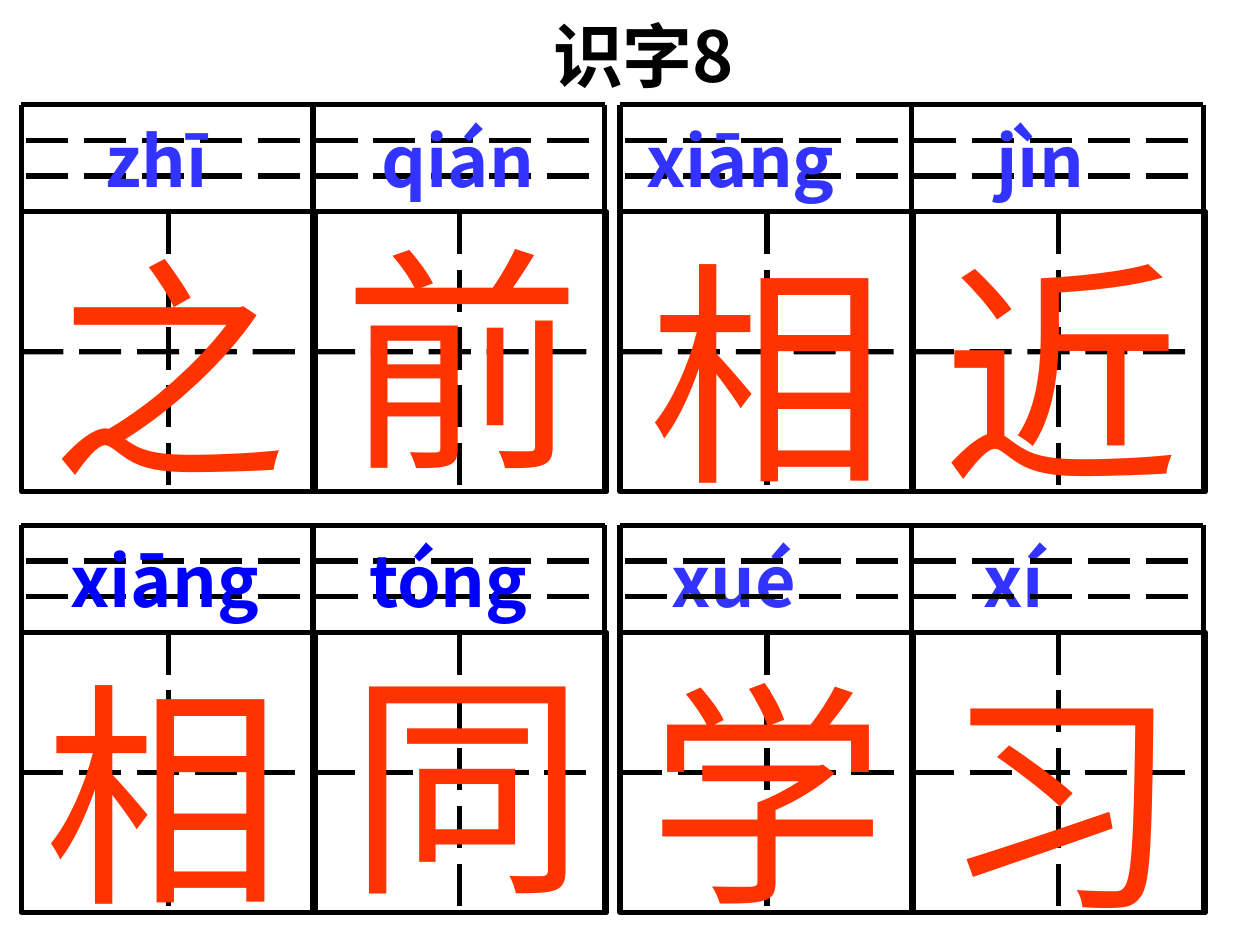
from lxml import etree
from pptx import Presentation
from pptx.dml.color import RGBColor
from pptx.enum.dml import MSO_LINE
from pptx.enum.shapes import MSO_CONNECTOR, MSO_SHAPE
from pptx.oxml.ns import qn
from pptx.util import Cm, Pt

STRAIGHT = MSO_CONNECTOR.STRAIGHT
RECTANGLE = MSO_SHAPE.RECTANGLE
LONG_DASH = MSO_LINE.LONG_DASH
TOP, LEFT, BOTTOM = 0, 1, 2

BLACK = RGBColor(0x00, 0x00, 0x00)
RED = RGBColor(0xFF, 0x33, 0x00)
VIOLET = RGBColor(0x33, 0x33, 0xFF)
BLUE = RGBColor(0x00, 0x00, 0xFF)
HAN_FONT, LATIN_FONT = "Noto Sans CJK SC", "Arial"

# Content; lengths in centimetres
TITLE = "识字8"
GRID_LEFTS = (0.43, 12.5)
ROW_TOPS = (2.11, 10.59)
# Character, left, top, font
FIRST_ROW = [("前", 6.68, 3.73, HAN_FONT), ("之", 0.76, 3.94, HAN_FONT),
             ("相", 12.83, 4.01, LATIN_FONT), ("近", 18.75, 4.01, LATIN_FONT)]
SECOND_ROW_LEFT = [("同", 6.78, 12.27, LATIN_FONT), ("相", 0.64, 12.5, LATIN_FONT)]
SECOND_ROW_RIGHT = [("学", 12.83, 12.5, LATIN_FONT), ("习", 18.75, 12.62, LATIN_FONT)]
# Syllable, tab position, colour
FIRST_PINYIN = [("zhī", 1.88, VIOLET), ("qián", 7.44, VIOLET),
                ("xiāng", 12.78, VIOLET), ("jìn", 19.84, VIOLET)]
SECOND_PINYIN = [("xiāng", 1.6, BLUE), ("tóng", 7.62, BLUE),
                 ("xué", 13.72, VIOLET), ("xí", 20, VIOLET)]

# Practice grid measures
CELL_STEP, CELL_WIDTH, CELL_HEIGHT = 5.88, 5.92, 5.64
BAND_HEIGHT = 2.16
GUIDE_GAP = 0.72
INSET = 0.1
LINE_HEIGHT = 1.29  # share of the font size


def style_line(line, dash=None):
    line.color.rgb = BLACK
    line.width = Pt(3)
    if dash:
        line.dash_style = dash


def add_line(shapes, x1, y1, x2, y2, dash=None):
    connector = shapes.add_connector(STRAIGHT, Cm(x1), Cm(y1), Cm(x2), Cm(y2))
    style_line(connector.line, dash)
    etree.SubElement(connector._element.spPr, qn("a:effectLst"))
    return connector


def add_grid(slide, left, top):
    """Two character cells under a pinyin band."""
    shapes = slide.shapes.add_group_shape().shapes
    right = left + 2 * CELL_STEP
    cell_top = top + BAND_HEIGHT
    bottom = cell_top + CELL_HEIGHT
    middle = cell_top + CELL_HEIGHT / 2

    for x in (left, left + CELL_STEP):
        cell = shapes.add_shape(RECTANGLE, Cm(x), Cm(cell_top), Cm(CELL_WIDTH), Cm(CELL_HEIGHT))
        cell.shadow.inherit = False
        cell.fill.background()
        style_line(cell.line)
        center = x + CELL_WIDTH / 2
        upright = add_line(shapes, center, cell_top, center, bottom, LONG_DASH)
        upright.begin_connect(cell, TOP)
        upright.end_connect(cell, BOTTOM)
        across = add_line(shapes, x, middle, x + CELL_STEP - INSET, middle, LONG_DASH)
        across.begin_connect(cell, LEFT)

    # Pinyin band and outer frame
    add_line(shapes, left, top, right, top)
    for y in (top + GUIDE_GAP, top + 2 * GUIDE_GAP):
        add_line(shapes, left + INSET, y, right, y, LONG_DASH)
    for x in (left, left + CELL_STEP, right):
        add_line(shapes, x, top, x, bottom)


def add_text(slide, runs, left, top, width, height, size, font=HAN_FONT, bold=False, tabs=()):
    """Add a one-line text box; runs are pairs of text and colour."""
    box = slide.shapes.add_textbox(Cm(left), Cm(top), Cm(width), Cm(height))
    box.text_frame.word_wrap = True
    paragraph = box.text_frame.paragraphs[0]
    paragraph.line_spacing = Pt(round(size * LINE_HEIGHT, 1))
    if tabs:
        tab_list = etree.SubElement(paragraph._p.get_or_add_pPr(), qn("a:tabLst"))
        for position in tabs:
            etree.SubElement(tab_list, qn("a:tab"), pos=str(Cm(position)), algn="l")
    for text, color in runs:
        run = paragraph.add_run()
        run.text = text
        run.font.size = Pt(size)
        run.font.bold = bold
        run.font.color.rgb = color
        run.font.name = font
        etree.SubElement(run._r.get_or_add_rPr(), qn("a:ea"), typeface=HAN_FONT)


def add_characters(slide, characters):
    for character, left, top, font in characters:
        add_text(slide, [(character, RED)], left, top, 5.8, 6.02, size=136, font=font)


def add_pinyin(slide, syllables, left, top, width):
    runs = [("\t" + syllable, color) for syllable, _, color in syllables]
    tabs = [position for _, position, _ in syllables]
    add_text(slide, runs, left, top, width, 1.96, size=40, bold=True, tabs=tabs)


def main():
    presentation = Presentation()
    presentation.slide_width, presentation.slide_height = Cm(25.4), Cm(19.05)
    slide = presentation.slides.add_slide(presentation.slide_layouts[6])
    first_top, second_top = ROW_TOPS
    first_left, second_left = GRID_LEFTS

    # First row and title
    for left in GRID_LEFTS:
        add_grid(slide, left, first_top)
    add_characters(slide, FIRST_ROW)
    add_pinyin(slide, FIRST_PINYIN, 0, first_top, 25.3)
    add_text(slide, [(TITLE, BLACK)], 10.9, 0, 6.4, 1.96, size=40, bold=True)

    # Second row; the right grid lies over its pinyin
    add_grid(slide, first_left, second_top)
    add_pinyin(slide, SECOND_PINYIN, -0.43, second_top, 24.33)
    add_characters(slide, SECOND_ROW_LEFT)
    add_grid(slide, second_left, second_top)
    add_characters(slide, SECOND_ROW_RIGHT)

    presentation.save("out.pptx")


if __name__ == "__main__":
    main()
